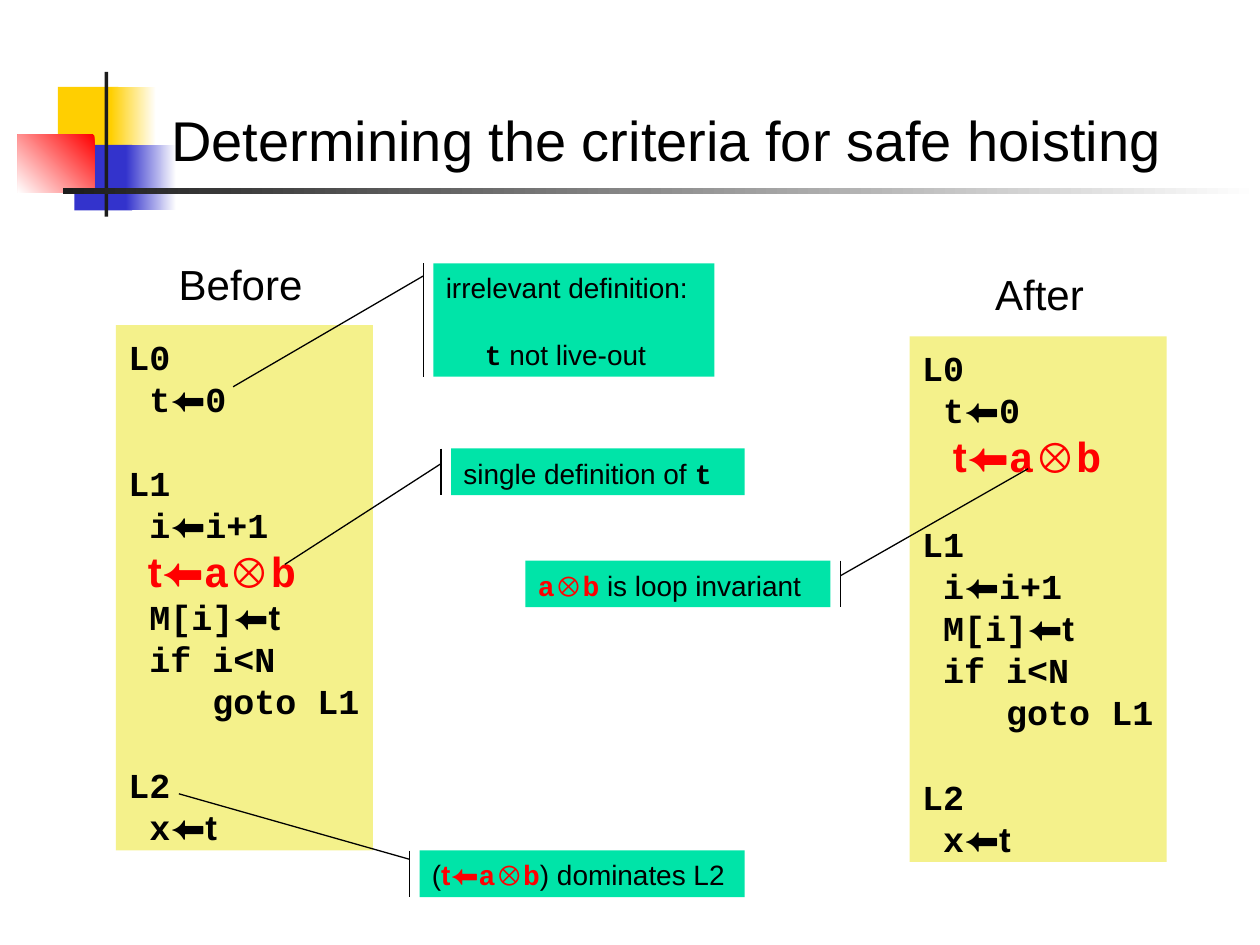
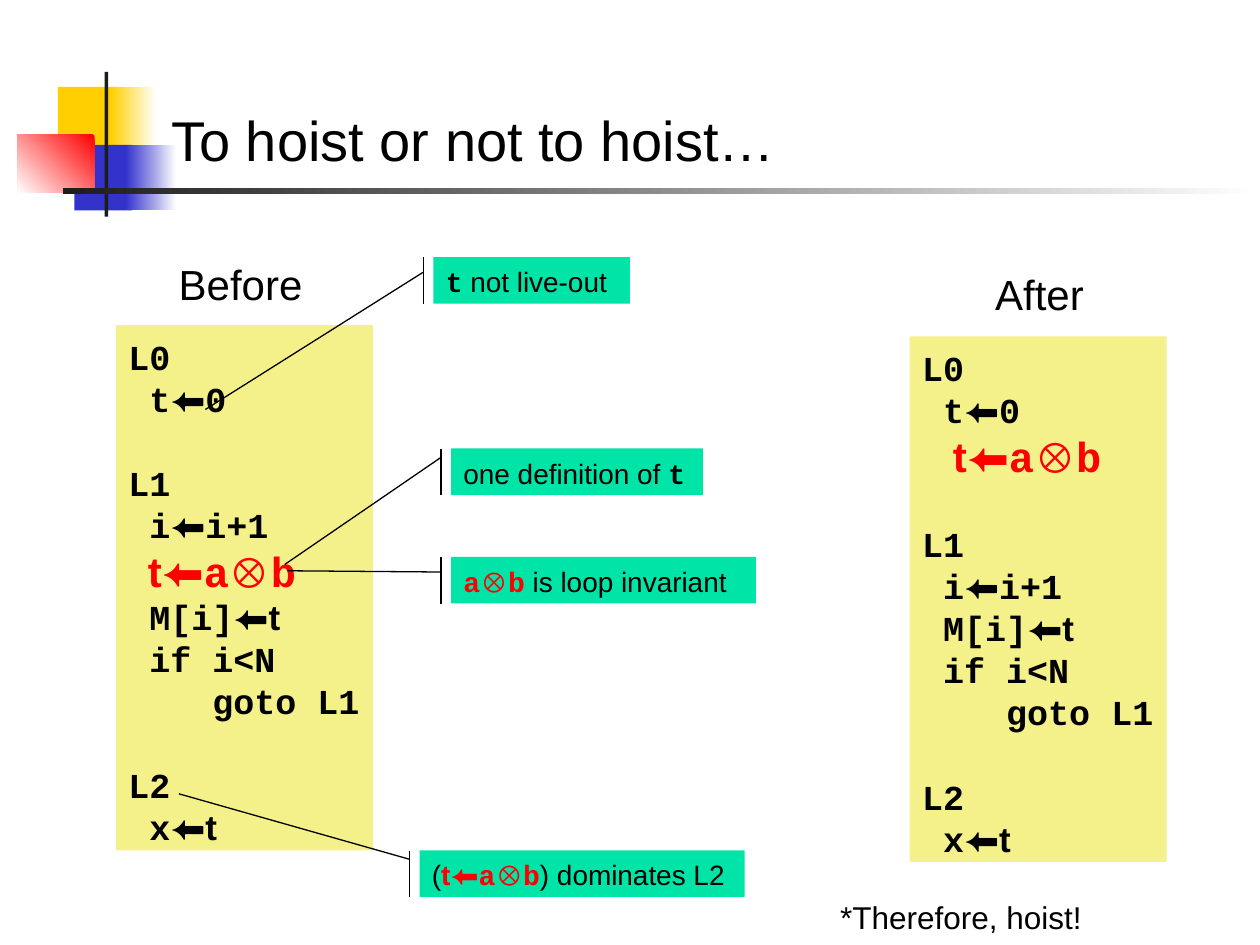
import dataclasses
import pptx
import pptx.dml.color
import pptx.enum.shapes
import pptx.enum.text
import pptx.oxml
import pptx.oxml.ns
import pptx.util

SCALE = 9144  # EMU in one px, 100 px to the inch
SHAPE = pptx.enum.shapes.MSO_SHAPE
LINE = pptx.enum.shapes.MSO_CONNECTOR
ANCHOR = pptx.enum.text.MSO_ANCHOR
FIT = pptx.enum.text.MSO_AUTO_SIZE


@dataclasses.dataclass(frozen=True)
class Theme:
    sans: str = "Arial"
    mono: str = "Courier New"
    ink: str = "000000"
    red: str = "FF0000"
    white: str = "FFFFFF"
    dark: str = "1C1C1C"
    gold: str = "FFCF01"
    blue: str = "3333CC"
    code: str = "F4F18B"
    note: str = "00E4A8"
    title: int = 32
    head: int = 24
    hot: int = 24
    body: int = 20
    foot: int = 18
    small: int = 16
    lead: float = 1.2


T = Theme()

# style name: font, bold, colour
STYLES = {
    "plain": (T.sans, False, T.ink),
    "sans": (T.sans, True, T.ink),
    "mono": (T.mono, True, T.ink),
    "hot": (T.sans, True, T.red),
    "hotmono": (T.mono, True, T.red),
}


@dataclasses.dataclass(frozen=True)
class Row:
    """One paragraph: (text, style) runs, its look and the blank lines above."""
    runs: list
    size: int = 0
    gap: int = 0
    left: int = 0


def px(num):
    return pptx.util.Emu(num * SCALE)


def rgb(code):
    return pptx.dml.color.RGBColor.from_string(code)


def plain(text):
    return [Row([(text, "plain")])]


def write(frame, rows, size, lead=T.lead, top=5, wrap=True, anchor=ANCHOR.TOP):
    """Fill a text frame; lead is the line height in ems, None for natural."""
    frame.word_wrap = wrap
    frame.auto_size = FIT.NONE
    frame.vertical_anchor = anchor
    frame.margin_left = frame.margin_right = px(10)
    frame.margin_top, frame.margin_bottom = px(top), px(5)
    for num, row in enumerate(rows):
        par = frame.paragraphs[0] if num == 0 else frame.add_paragraph()
        par.alignment = pptx.enum.text.PP_ALIGN.LEFT
        if row.left:
            par._p.get_or_add_pPr().set("marL", str(px(row.left)))
        if lead:
            par.line_spacing = pptx.util.Pt((row.size or size) * lead)
            par.space_before = pptx.util.Pt(row.gap * size * lead)
        for text, style in row.runs:
            run = par.add_run()
            run.text = text
            font = run.font
            font.name, font.bold, tint = STYLES[style]
            font.color.rgb = rgb(tint)
            blank = not text.strip()
            font.size = pptx.util.Pt(size if blank else row.size or size)


def rect(slide, box, fill):
    shape = slide.shapes.add_shape(SHAPE.RECTANGLE, *map(px, box))
    shape.shadow.inherit = False
    shape.line.fill.background()
    shape.fill.solid()
    shape.fill.fore_color.rgb = rgb(fill)
    return shape


def fade(slide, box, tint, angle=0):
    """Rectangle that fades from tint to white."""
    shape = rect(slide, box, tint)
    shape.fill.gradient()
    shape.fill.gradient_angle = angle
    for stop, code in zip(shape.fill.gradient_stops, (tint, T.white)):
        stop.color.rgb = rgb(code)
    return shape


def line(slide, start, end):
    link = slide.shapes.add_connector(LINE.STRAIGHT, *map(px, start + end))
    link.line.color.rgb = rgb(T.ink)
    link.line.width = pptx.util.Pt(0.75)
    props = link._element.spPr
    props.append(props.makeelement(pptx.oxml.ns.qn("a:effectLst"), {}))


def label(slide, text, box, size):
    shape = slide.shapes.add_textbox(*map(px, box))
    write(shape.text_frame, plain(text), size, wrap=False)


def note(slide, rows, box, tip, bend):
    """Callout: a box, a bar on the side of the tip, a leader from tip to bar."""
    left, top, width, height = box
    shape = rect(slide, box, T.note)
    write(shape.text_frame, rows, T.small, top=6)
    bar = left - 8 if tip[0] < left else left + width + 8
    line(slide, tip, (bar, bend))
    line(slide, (bar, top), (bar, top + height))


def panel(slide, rows, left, top):
    shape = rect(slide, (left, top, 204, 417), T.code)
    write(shape.text_frame, rows, T.body, top=8, wrap=False)


def decor(slide, layout):
    """Draw the corner motif and hand it over to the layout."""
    parts = [
        rect(slide, (46, 69, 48, 52), T.gold),
        fade(slide, (88, 69, 36, 52), T.gold),
        rect(slide, (59, 115, 46, 52), T.blue),
        fade(slide, (100, 115, 40, 52), T.blue),
        fade(slide, (14, 107, 61, 46), T.red, 225),
        rect(slide, (83, 57, 3, 115), T.dark),
        fade(slide, (50, 149, 950, 5), T.dark),
    ]
    for spot, part in enumerate(parts, 2):
        layout.shapes.element.insert(spot, part._element)


EXPR = [("a", "hotmono"), ("⊗", "hot"), ("b", "hotmono")]
HOIST = [("t⬅", "hot")] + EXPR


def code(text, **look):
    return Row([(text, "mono")], **look)


def assign(name, value, style="mono"):
    return Row([(" " + name, "mono"), ("⬅", "sans"), (value, style)])


def listing(hoisted):
    """The loop, with the red assignment before it or inside it."""
    pad = [(" ", "mono"), (" ", "sans")] if hoisted else [("  ", "sans")]
    red = [Row(pad + HOIST, size=T.hot)]
    entry = [code("L0"), assign("t", "0")]
    loop = [code("L1", gap=1), assign("i", "i+1")]
    tail = [assign("M[i]", "t", "sans"), code(" if i<N"),
            code("    goto L1"), code("L2", gap=1), assign("x", "t", "sans")]
    return entry + red + loop + tail if hoisted else entry + loop + red + tail


LIVE = [("t", "mono"), (" not live-out", "plain")]
FIXED = [Row(EXPR + [(" is loop invariant", "plain")])]
DOMIN = [Row([("(", "plain")] + HOIST + [(") dominates L2", "plain")])]


def single(word):
    return [Row([(word + " definition of ", "plain"), ("t", "mono")])]


def add_page(deck, layout, title):
    """Slide with all that both pages share."""
    slide = deck.slides.add_slide(layout)
    write(slide.shapes.title.text_frame, plain(title), T.title,
          lead=None, anchor=ANCHOR.BOTTOM)
    panel(slide, listing(False), 92, 258)
    panel(slide, listing(True), 722, 267)
    label(slide, "Before", (132, 200, 118, 50), T.head)
    label(slide, "After", (780, 208, 90, 50), T.head)
    note(slide, DOMIN, (333, 675, 258, 37), (142, 630), 682)
    return slide


def main():
    deck = pptx.Presentation()
    deck.slide_width, deck.slide_height = px(1000), px(750)
    layout = deck.slide_layouts.get_by_name("Title Only")
    head = layout.placeholders[0]
    head.left, head.top, head.width, head.height = map(px, (126, 17, 852, 125))

    first = add_page(deck, layout, "Determining the criteria for safe hoisting")
    decor(first, layout)
    dead = plain("irrelevant definition:") + [Row(LIVE, gap=1, left=31)]
    note(first, dead, (344, 209, 223, 90), (185, 307), 219)
    note(first, single("single"), (358, 356, 233, 37), (226, 448), 368)
    note(first, FIXED, (417, 445, 242, 37), (816, 372), 457)

    second = add_page(deck, layout, "To hoist or not to hoist…")
    note(second, [Row(LIVE)], (344, 204, 156, 37), (163, 325), 216)
    note(second, single("one"), (358, 356, 200, 37), (226, 448), 363)
    note(second, FIXED, (358, 442, 242, 37), (228, 453), 454)
    label(second, "*Therefore, hoist!", (657, 708, 212, 40), T.foot)

    deck.save("out.pptx")


if __name__ == "__main__":
    main()
